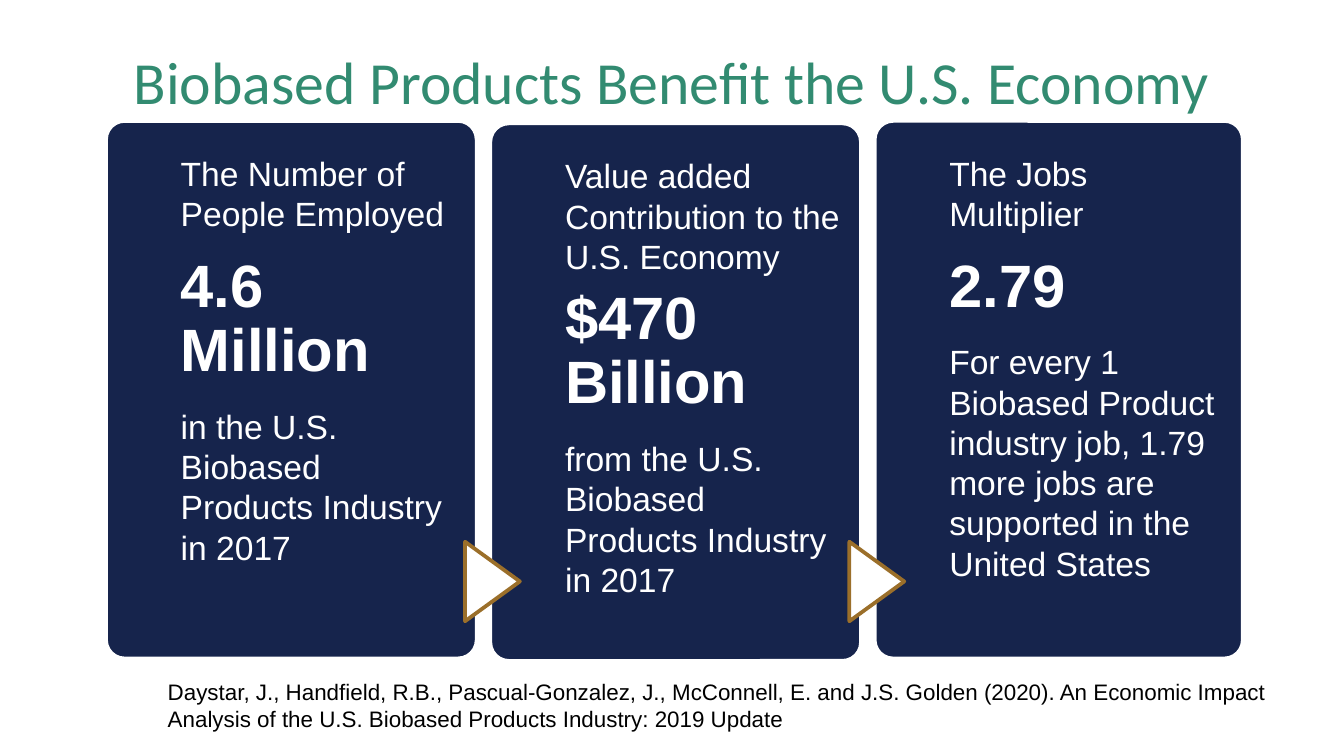
from pptx import Presentation
from pptx.dml.color import RGBColor
from pptx.enum.shapes import MSO_SHAPE as Shape
from pptx.enum.text import MSO_ANCHOR as Anchor, PP_ALIGN as Align
from pptx.util import Pt

COLORS = {"green": "328B71", "navy": "16244C", "gold": "9B6F2A",
          "white": "FFFFFF", "black": "000000"}

TITLE = "Biobased Products Benefit the U.S. Economy"
SOURCE = ("Daystar, J., Handfield, R.B., Pascual-Gonzalez, J., McConnell, E. "
          "and J.S. Golden (2020). An Economic Impact Analysis of the U.S. "
          "Biobased Products Industry: 2019 Update")

# Each card: heading, figure, detail, top, width, space before the figure
CARDS = [
    ("The Number of People Employed", "4.6 Million",
     "in the U.S. Biobased Products Industry in 2017", 64.8, 198.6, 12),
    ("Value added Contribution to the U.S. Economy", "$470 Billion",
     "from the U.S. Biobased Products Industry in 2017", 66.1, 198.6, 6.3),
    ("The Jobs Multiplier", "2.79",
     "For every 1 Biobased Product industry job, 1.79 more jobs are "
     "supported in the United States", 64.8, 197.2, 12),
]
LEFT, STEP, HIGH = 56.8, 205.9, 288
INDENT, TRIM = 40, 50.2
ARROW_W, ARROW_H, ARROW_TOP = 42.6, 29.4, 296.8

deck = Presentation()
deck.slide_width, deck.slide_height = Pt(720), Pt(405)
slide = deck.slides.add_slide(deck.slide_layouts[6])


def color(name):
    return RGBColor.from_string(COLORS[name])


def add_box(x, y, w, h, inset):
    frame = slide.shapes.add_textbox(Pt(x), Pt(y), Pt(w), Pt(h)).text_frame
    frame.word_wrap = True
    frame.vertical_anchor = Anchor.TOP
    (frame.margin_left, frame.margin_top,
     frame.margin_right, frame.margin_bottom) = [Pt(n) for n in inset]
    return frame


def add_text(frame, text, size=18, font="Arial", ink="white", bold=False,
             align=Align.LEFT, before=0, line=1.0):
    para = frame.paragraphs[0]
    if para.runs:
        para = frame.add_paragraph()
    para.alignment = align
    para.space_before = Pt(before)
    para.line_spacing = line
    run = para.add_run()
    run.text = text
    run.font.size, run.font.name, run.font.bold = Pt(size), font, bold
    run.font.color.rgb = color(ink)


def add_form(kind, x, y, w, h, fill, line):
    form = slide.shapes.add_shape(kind, Pt(x), Pt(y), Pt(w), Pt(h))
    form.shadow.inherit = False
    form.fill.solid()
    form.fill.fore_color.rgb = color(fill)
    form.line.color.rgb = color(line)
    form.line.width = Pt(2)
    return form


# Title
add_text(add_box(36, 16.6, 648, 67.7, (7.2, 7.2, 7.2, 7.2)), TITLE,
         size=32, font="Calibri", ink="green", align=Align.CENTER)

# Cards, with an arrow leading into each one after the first
for i, (head, figure, detail, top, wide, gap) in enumerate(CARDS):
    x = LEFT + i * STEP
    card = add_form(Shape.ROUNDED_RECTANGLE, x, top, wide, HIGH,
                    "navy", "white")
    card.adjustments[0] = 0.05
    if i:
        arrow = add_form(Shape.FLOWCHART_EXTRACT, x - 20.2, ARROW_TOP,
                         ARROW_W, ARROW_H, "white", "gold")
        arrow.rotation = 90
    frame = add_box(x + INDENT, top, wide - TRIM, HIGH, (0, 17, 0, 0))
    add_text(frame, head)
    add_text(frame, figure, size=32, bold=True, before=gap, line=0.9)
    add_text(frame, detail, before=11.2)

# Source line
add_text(add_box(82.8, 360, 609, 36, (7.2, 3.6, 7.2, 3.6)), SOURCE,
         size=12, ink="black")

deck.save("out.pptx")
